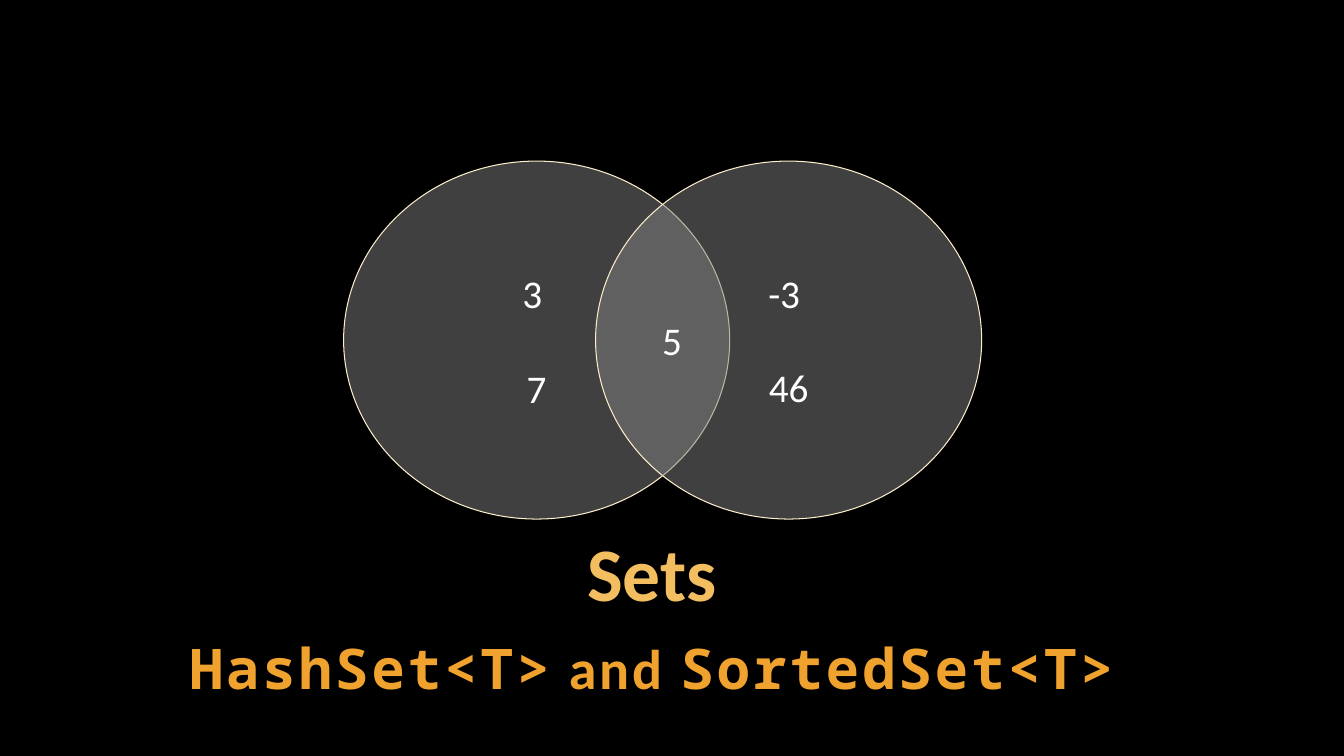
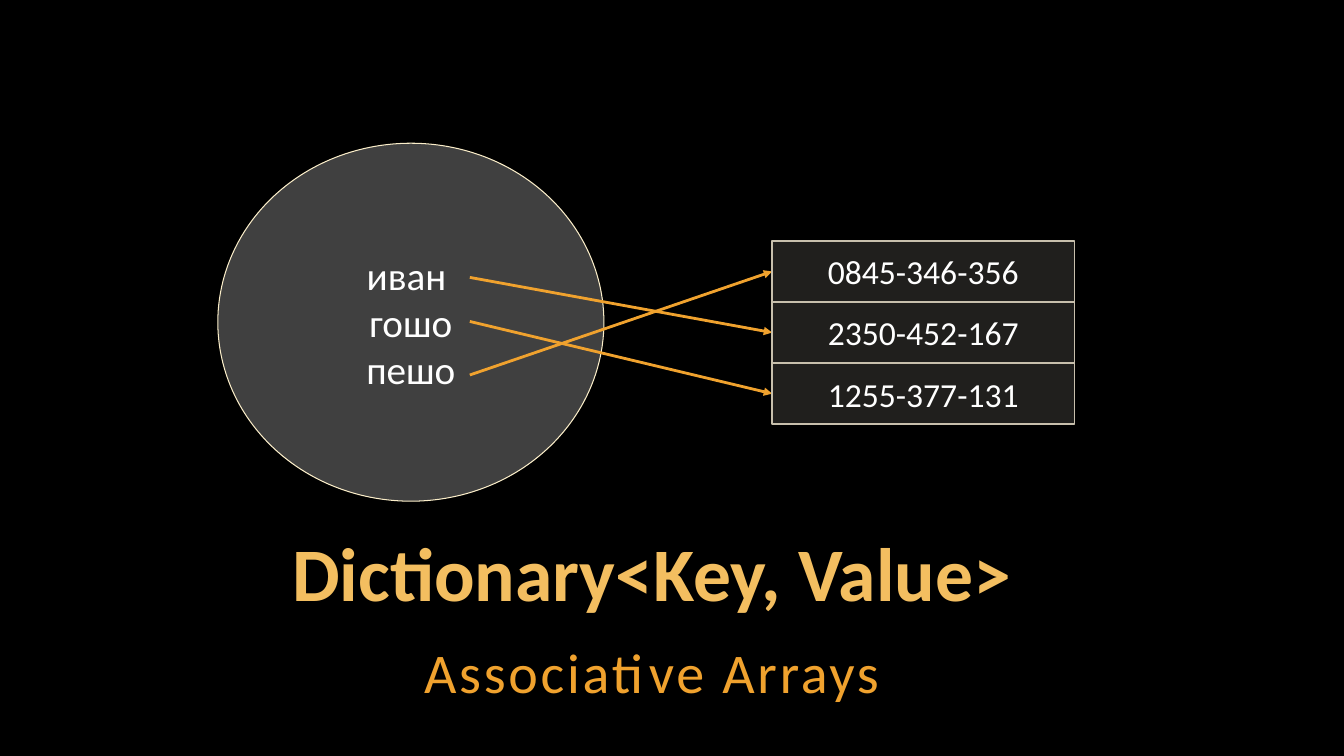
from dataclasses import dataclass

from lxml.etree import SubElement
from pptx import Presentation
from pptx.dml.color import RGBColor
from pptx.enum.shapes import MSO_CONNECTOR, MSO_SHAPE
from pptx.enum.text import MSO_ANCHOR, PP_ALIGN
from pptx.oxml.ns import qn
from pptx.shapes.autoshape import Shape
from pptx.slide import Slide
from pptx.text.text import TextFrame, _Run
from pptx.util import Cm, Pt

COLORS = {
    "back": "000000",
    "title": "F3BE60",
    "accent": "F0A22E",
    "text": "FFFFFF",
    "disk": "808080",
    "rim": "FBEEC9",
    "cell": "D9D5C7",
    "edge": "C7BFAC",
}
SANS = "Calibri"
MONO = "Noto Sans Mono"

LEFT, WIDTH = 4.01, 24.84
DISK_W, DISK_H = 9.73, 9.02
CELL_X, CELL_Y, CELL_W, CELL_H = 19.46, 6.07, 7.62, 1.54
ARROW_X = 11.84


@dataclass(frozen=True)
class Look:
    size: float
    color: str
    font: str = SANS
    bold: bool = False
    track: int = 0


@dataclass(frozen=True)
class Line:
    text: str
    align: PP_ALIGN = PP_ALIGN.CENTER
    before: float = 0


@dataclass(frozen=True)
class Part:
    text: str
    font: str = SANS
    bold: bool = False


@dataclass(frozen=True)
class Disk:
    left: float
    top: float
    lines: tuple[Line, ...]


@dataclass(frozen=True)
class Arrow:
    start: float
    row: int


@dataclass(frozen=True)
class Skin:
    fill: str
    alpha: int
    line: str
    width: float


TITLE = Look(54, "title", bold=True)
DISK_TEXT = Look(28, "text")
CELL_TEXT = Look(24, "text")
DISK_SKIN = Skin("disk", 50, "rim", 0.75)
CELL_SKIN = Skin("cell", 15, "edge", 1)

SETS = (
    Disk(8.66, 4.06, (Line("3 "), Line("7", before=34))),
    Disk(15.01, 4.06, (Line("-3 "), Line("5", PP_ALIGN.LEFT), Line("46"))),
)
KEYS = Disk(5.49, 3.61, (Line("иван "), Line("гошо"), Line("пешо")))
PHONES = ("0845-346-356", "2350-452-167", "1255-377-131")
ARROWS = (Arrow(6.99, 1), Arrow(8.1, 2), Arrow(9.45, 0))


def paint(name: str) -> RGBColor:
    return RGBColor.from_string(COLORS[name])


def style(run: _Run, look: Look) -> None:
    font = run.font
    font.name = look.font
    font.size = Pt(look.size)
    font.bold = look.bold
    font.color.rgb = paint(look.color)
    if look.track:
        run._r.get_or_add_rPr().set("spc", str(look.track * 100))


def pad(frame: TextFrame, side: float, end: float) -> None:
    frame.word_wrap = True
    frame.margin_left = frame.margin_right = Cm(side)
    frame.margin_top = frame.margin_bottom = Cm(end)


def write(frame: TextFrame, lines: tuple[Line, ...], look: Look) -> None:
    frame.text = "\n".join(line.text for line in lines)
    for para, line in zip(frame.paragraphs, lines):
        para.alignment = line.align
        para.space_before = Pt(line.before)
        for run in para.runs:
            style(run, look)


def add_box(slide: Slide, top: float, height: float) -> TextFrame:
    box = slide.shapes.add_textbox(Cm(LEFT), Cm(top), Cm(WIDTH), Cm(height))
    pad(box.text_frame, 0.1, 0.1)
    return box.text_frame


def add_title(slide: Slide, text: str) -> None:
    frame = add_box(slide, 13.39, 2.29)
    frame.vertical_anchor = MSO_ANCHOR.BOTTOM
    write(frame, (Line(text),), TITLE)
    frame.paragraphs[0].line_spacing = 0.9


def add_sub(slide: Slide, top: float, parts: tuple[Part, ...]) -> None:
    para = add_box(slide, top, 17.78 - top).paragraphs[0]
    para.alignment = PP_ALIGN.CENTER
    para.line_spacing = 1.05
    para.space_after = Pt(6)
    for part in parts:
        run = para.add_run()
        run.text = part.text
        style(run, Look(40, "accent", part.font, part.bold, 2))


def add_form(slide: Slide, kind: MSO_SHAPE, left: float, top: float,
             width: float, height: float, skin: Skin) -> Shape:
    form = slide.shapes.add_shape(kind, Cm(left), Cm(top), Cm(width), Cm(height))
    form.shadow.inherit = False
    form.fill.solid()
    form.fill.fore_color.rgb = paint(skin.fill)
    solid = form._element.spPr.find(qn("a:solidFill"))
    SubElement(solid[0], qn("a:alpha")).set("val", str(skin.alpha * 1000))
    form.line.color.rgb = paint(skin.line)
    form.line.width = Pt(skin.width)
    form.text_frame.vertical_anchor = MSO_ANCHOR.MIDDLE
    return form


def add_disk(slide: Slide, disk: Disk) -> None:
    form = add_form(slide, MSO_SHAPE.OVAL, disk.left, disk.top,
                    DISK_W, DISK_H, DISK_SKIN)
    write(form.text_frame, disk.lines, DISK_TEXT)


def add_cell(slide: Slide, row: int, text: str) -> None:
    form = add_form(slide, MSO_SHAPE.RECTANGLE, CELL_X, CELL_Y + row * CELL_H,
                    CELL_W, CELL_H, CELL_SKIN)
    pad(form.text_frame, 0.51, 0.25)
    write(form.text_frame, (Line(text),), CELL_TEXT)


def add_arrow(slide: Slide, arrow: Arrow) -> None:
    end = CELL_Y + (arrow.row + 0.5) * CELL_H
    link = slide.shapes.add_connector(
        MSO_CONNECTOR.STRAIGHT, Cm(ARROW_X), Cm(arrow.start), Cm(CELL_X), Cm(end))
    link.line.color.rgb = paint("accent")
    link.line.width = Pt(2)
    props = link._element.spPr
    SubElement(props.find(qn("a:ln")), qn("a:tailEnd")).set("type", "triangle")
    SubElement(props, qn("a:effectLst"))


def main() -> None:
    deck = Presentation()
    deck.slide_width, deck.slide_height = Cm(33.87), Cm(19.05)
    back = deck.slide_master.background.fill
    back.solid()
    back.fore_color.rgb = paint("back")
    blank = deck.slide_layouts[6]

    slide = deck.slides.add_slide(blank)
    add_title(slide, "Sets")
    add_sub(slide, 15.77, (Part("HashSet<T>", MONO, True),
                           Part(" and ", bold=True),
                           Part("SortedSet<T>", MONO, True)))
    for disk in SETS:
        add_disk(slide, disk)

    slide = deck.slides.add_slide(blank)
    add_title(slide, "Dictionary<Key, Value>")
    add_sub(slide, 15.88, (Part("Associative Arrays"),))
    add_disk(slide, KEYS)
    for arrow in ARROWS:
        add_arrow(slide, arrow)
    for row, phone in enumerate(PHONES):
        add_cell(slide, row, phone)

    deck.save("out.pptx")


if __name__ == "__main__":
    main()
